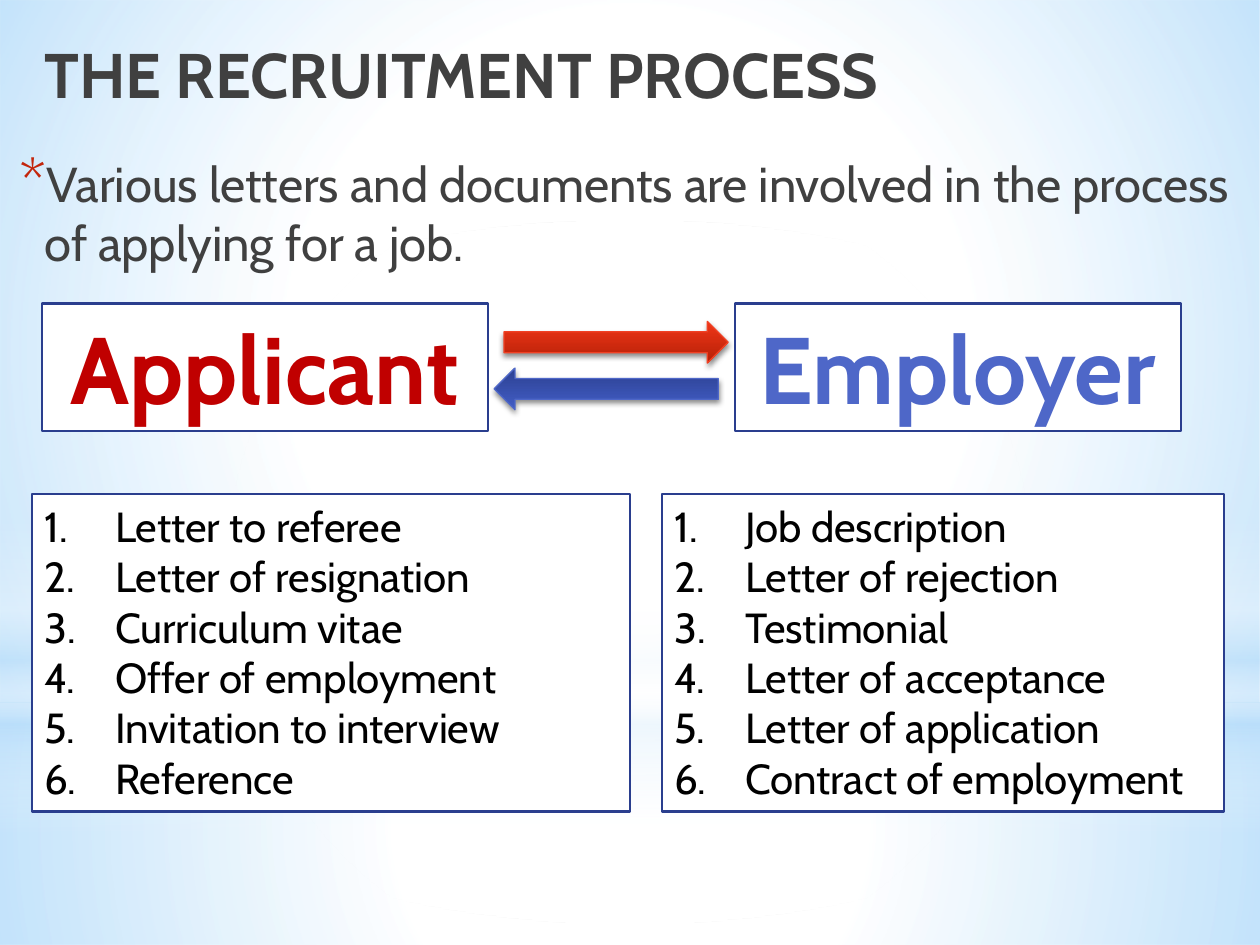
"""Build the slide on the recruitment process and its letters."""
from lxml import etree
from pptx import Presentation
from pptx.dml.color import RGBColor
from pptx.enum.shapes import MSO_SHAPE
from pptx.enum.text import MSO_ANCHOR, PP_ALIGN
from pptx.oxml import parse_xml
from pptx.oxml.ns import nsdecls, qn
from pptx.util import Cm, Pt

RECTANGLE, OVAL, ARROW = MSO_SHAPE.RECTANGLE, MSO_SHAPE.OVAL, MSO_SHAPE.RIGHT_ARROW
LEFT, CENTER = PP_ALIGN.LEFT, PP_ALIGN.CENTER
TOP, MIDDLE = MSO_ANCHOR.TOP, MSO_ANCHOR.MIDDLE

WHITE = RGBColor(0xFF, 0xFF, 0xFF)
BLACK = RGBColor(0x00, 0x00, 0x00)
SKY = RGBColor(0xB4, 0xDC, 0xFA)
GREY = RGBColor(0x40, 0x40, 0x40)
NAVY = RGBColor(0x2A, 0x3E, 0x8E)
CRIMSON = RGBColor(0xC0, 0x00, 0x00)
BLUE = RGBColor(0x4E, 0x67, 0xC8)
BLUE_LIGHT = RGBColor(0x43, 0x5E, 0xC5)
BLUE_DARK = RGBColor(0x2B, 0x40, 0x92)
RED = RGBColor(0xF1, 0x41, 0x24)
RED_LIGHT = RGBColor(0xF0, 0x36, 0x17)
RED_DARK = RGBColor(0xB5, 0x20, 0x07)
STAR = RGBColor(0xC3, 0x26, 0x0C)

FONT = "Cabin"
RADIAL = ('<a:path path="circle"><a:fillToRect l="50000" t="50000" '
          'r="50000" b="50000"/></a:path>')
VERTICAL = '<a:lin ang="5400000" scaled="0"/>'


def fill_gradient(shape, stops, direction):
    marks = "".join(
        f'<a:gs pos="{place * 1000}"><a:srgbClr val="{color}">'
        f'<a:alpha val="{alpha * 1000}"/></a:srgbClr></a:gs>'
        for place, color, alpha in stops)
    shape.fill.background()
    properties = shape.element.spPr
    properties.replace(properties.find(qn("a:noFill")), parse_xml(
        f'<a:gradFill {nsdecls("a")} rotWithShape="1"><a:gsLst>{marks}</a:gsLst>'
        f'{direction}</a:gradFill>'))


def add_panel(lines, left, top, width, height, size, color, bold, align):
    box = page.shapes.add_shape(RECTANGLE, Cm(left), Cm(top), Cm(width), Cm(height))
    box.shadow.inherit = False
    box.fill.solid()
    box.fill.fore_color.rgb = WHITE
    box.line.color.rgb = NAVY
    box.line.width = Pt(1.25)
    frame = box.text_frame
    frame.text = "\n".join(lines)
    frame.word_wrap = True
    frame.vertical_anchor = TOP
    for para in frame.paragraphs:
        para.alignment = align
        for span in para.runs:
            span.font.name = FONT
            span.font.size = Pt(size)
            span.font.bold = bold
            span.font.color.rgb = color
    return box


deck = Presentation()
deck.slide_width, deck.slide_height = Cm(25.4), Cm(19.05)
page = deck.slides.add_slide(deck.slide_layouts[1])

backdrops = [
    (RECTANGLE, 14.17, 4.88, RADIAL,
     [(0, WHITE, 91), (37, WHITE, 76), (100, SKY, 79)]),
    (RECTANGLE, 0, 14.17, RADIAL,
     [(0, WHITE, 89), (48, WHITE, 62), (100, SKY, 79)]),
    (RECTANGLE, 10.46, 6.35, VERTICAL,
     [(0, WHITE, 0), (29, WHITE, 30), (45, SKY, 40),
      (55, WHITE, 26), (65, SKY, 60), (100, WHITE, 0)]),
    (OVAL, 4.45, 14.17, RADIAL, [(0, WHITE, 100), (56, WHITE, 0)]),
]
title, body = page.shapes.title, page.placeholders[1]
for kind, top, height, direction, stops in backdrops:
    glow = page.shapes.add_shape(kind, 0, Cm(top), deck.slide_width, Cm(height))
    glow.shadow.inherit = False
    glow.line.fill.background()
    fill_gradient(glow, stops, direction)
    title.element.addprevious(glow.element)

bullet = body.text_frame.paragraphs[0]._p.get_or_add_pPr()
bullet.set("marL", str(Cm(0.64)))
bullet.set("indent", str(-Cm(0.51)))
color_mark = etree.SubElement(bullet, qn("a:buClr"))
etree.SubElement(color_mark, qn("a:srgbClr"), val=str(STAR))
etree.SubElement(bullet, qn("a:buSzPct"), val="130000")
etree.SubElement(bullet, qn("a:buFont"), typeface=FONT)
etree.SubElement(bullet, qn("a:buChar"), char="*")

headings = [
    (title, "THE RECRUITMENT PROCESS", 0.64, 0.43, 24.33, 2.11, 36, True, MIDDLE),
    (body, "Various letters and documents are involved in the process of applying for a job.",
     0, 2.97, 25.4, 16.08, 28, False, TOP),
]
for holder, words, left, top, width, height, size, bold, anchor in headings:
    holder.left, holder.top = Cm(left), Cm(top)
    holder.width, holder.height = Cm(width), Cm(height)
    holder.text_frame.vertical_anchor = anchor
    para = holder.text_frame.paragraphs[0]
    para.text = words
    para.alignment = LEFT
    para.space_before = Pt(0)
    span = para.runs[0]
    span.font.name = FONT
    span.font.size = Pt(size)
    span.font.bold = bold
    span.font.color.rgb = GREY

for party, left, color in [("Applicant", 0.84, CRIMSON), ("Employer", 14.81, BLUE)]:
    add_panel([party], left, 6.12, 9, 2.57, 54, color, True, CENTER)

arrows = [
    (10.16, 6.48, 0, RED_LIGHT, RED_DARK, RED),
    (9.96, 7.42, 180, BLUE_LIGHT, BLUE_DARK, BLUE),
]
for left, top, rotation, light, dark, edge in arrows:
    arrow = page.shapes.add_shape(ARROW, Cm(left), Cm(top), Cm(4.52), Cm(0.84))
    arrow.rotation = rotation
    fill_gradient(arrow, [(0, light, 100), (100, dark, 100)], VERTICAL)
    arrow.line.color.rgb = edge
    arrow.line.width = Pt(0.75)
    arrow.shadow.inherit = False
    arrow.element.spPr.find(qn("a:effectLst")).append(parse_xml(
        f'<a:outerShdw {nsdecls("a")} blurRad="{Pt(3.1)}" dist="{Pt(1.8)}" '
        'dir="5400000" rotWithShape="0"><a:srgbClr val="000000">'
        '<a:alpha val="45000"/></a:srgbClr></a:outerShdw>'))

letter_lists = [
    (0.64, 12.07, ["Letter to referee", "Letter of resignation", "Curriculum vitae",
                   "Offer of employment", "Invitation to interview", "Reference"]),
    (13.34, 11.33, ["Job description", "Letter of rejection", "Testimonial",
                    "Letter of acceptance", "Letter of application",
                    "Contract of employment"]),
]
for left, width, letters in letter_lists:
    panel = add_panel(letters, left, 9.96, width, 6.4, 24, BLACK, False, LEFT)
    for para in panel.text_frame.paragraphs:
        numbering = para._p.get_or_add_pPr()
        numbering.set("marL", str(Cm(1.43)))
        numbering.set("indent", str(-Cm(1.43)))
        etree.SubElement(numbering, qn("a:buFont"), typeface=FONT)
        etree.SubElement(numbering, qn("a:buAutoNum"), type="arabicPeriod")

deck.save("out.pptx")
